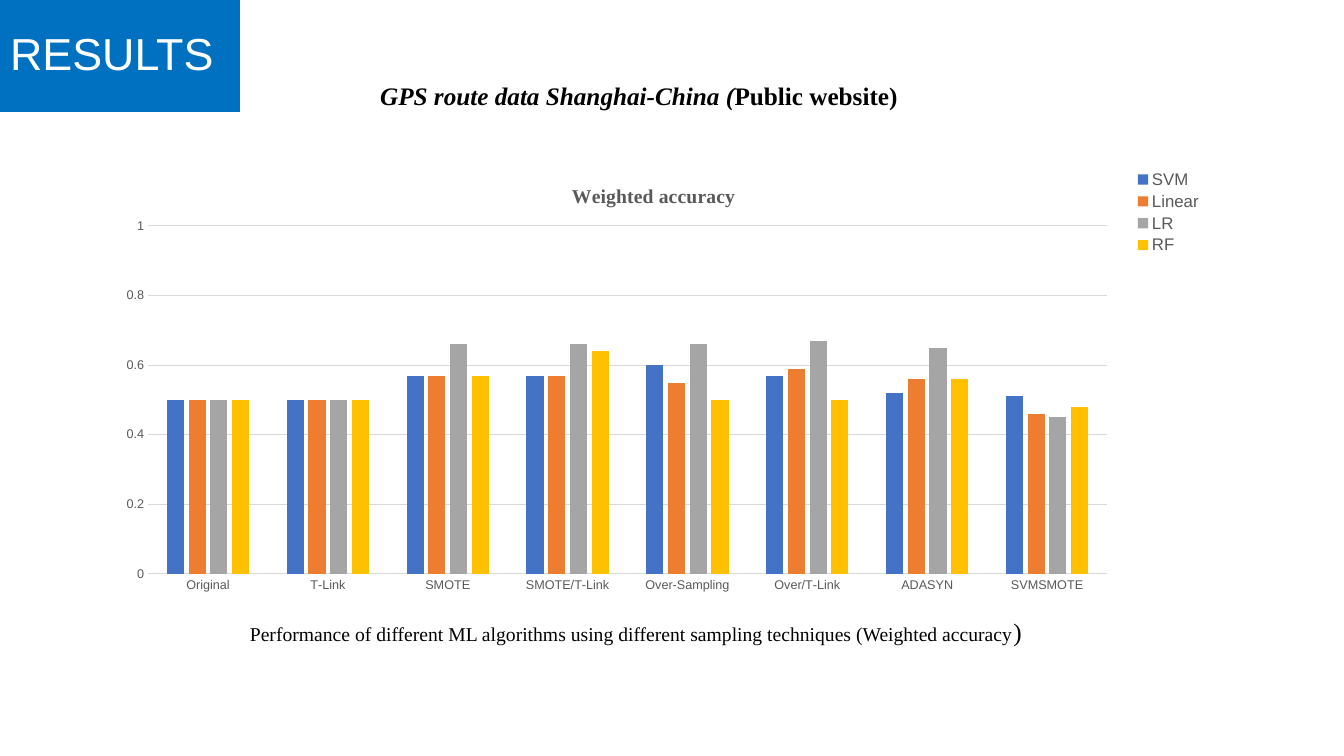
from lxml import etree
from pptx import Presentation
from pptx.chart.data import CategoryChartData
from pptx.dml.color import RGBColor
from pptx.enum.chart import XL_CHART_TYPE, XL_LEGEND_POSITION, XL_TICK_MARK
from pptx.enum.text import MSO_ANCHOR, MSO_AUTO_SIZE, PP_ALIGN
from pptx.oxml.ns import qn
from pptx.util import Inches, Pt

COLUMNS = XL_CHART_TYPE.COLUMN_CLUSTERED
CORNER = XL_LEGEND_POSITION.CORNER
NO_TICKS = XL_TICK_MARK.NONE
MIDDLE, TOP = MSO_ANCHOR.MIDDLE, MSO_ANCHOR.TOP
NO_FIT = MSO_AUTO_SIZE.NONE
LEFT, JUSTIFY = PP_ALIGN.LEFT, PP_ALIGN.JUSTIFY

SANS, SERIF = "Arial", "Times New Roman"
BLUE, WHITE, BLACK = "0070C0", "FFFFFF", "000000"
GREY, GRID = "595959", "D9D9D9"

TECHNIQUES = ["Original", "T-Link", "SMOTE", "SMOTE/T-Link",
              "Over-Sampling", "Over/T-Link", "ADASYN", "SVMSMOTE"]
# Algorithm: (colour, weighted accuracy per technique)
ACCURACY = {
    "SVM": ("4472C4", [0.5, 0.5, 0.57, 0.57, 0.6, 0.57, 0.52, 0.51]),
    "Linear": ("ED7D31", [0.5, 0.5, 0.57, 0.57, 0.55, 0.59, 0.56, 0.46]),
    "LR": ("A5A5A5", [0.5, 0.5, 0.66, 0.66, 0.66, 0.67, 0.65, 0.45]),
    "RF": ("FFC000", [0.5, 0.5, 0.57, 0.64, 0.5, 0.5, 0.56, 0.48]),
}


def rgb(color):
    return RGBColor.from_string(color)


def set_font(font, size, name, color, **styles):
    values = {"size": Pt(size), "name": name, **styles}
    for key, value in values.items():
        setattr(font, key, value)
    font.color.rgb = rgb(color)


def set_line(line, color, width):
    line.color.rgb = rgb(color)
    line.width = Pt(width)


def write(box, spans, anchor=TOP, **paragraph_format):
    """Fill a box with one paragraph of (text, font values) spans."""
    frame = box.text_frame
    frame_format = {"word_wrap": True, "auto_size": NO_FIT, "vertical_anchor": anchor,
                    "margin_left": Inches(0.1), "margin_right": Inches(0.1),
                    "margin_top": Inches(0.05), "margin_bottom": Inches(0.05)}
    for key, value in frame_format.items():
        setattr(frame, key, value)
    para = frame.paragraphs[0]
    for key, value in paragraph_format.items():
        setattr(para, key, value)
    for text, values in spans:
        span = para.add_run()
        span.text = text
        set_font(span.font, **values)


def add_title(page, text):
    title = page.shapes.title
    place = {"left": 0, "top": 0, "width": Inches(2.38), "height": Inches(1.11)}
    for key, value in place.items():
        setattr(title, key, value)
    title.fill.solid()
    title.fill.fore_color.rgb = rgb(BLUE)
    write(title, [(text, {"size": 32, "name": SANS, "color": WHITE})],
          MIDDLE, alignment=LEFT, line_spacing=0.9)


def add_text(page, left, top, width, height, spans, **paragraph_format):
    box = page.shapes.add_textbox(Inches(left), Inches(top), Inches(width), Inches(height))
    write(box, spans, **paragraph_format)
    return box


def place_part(part, index, **fractions):
    """Give a chart part a manual layout in fractions of the chart."""
    for old in part.findall(qn("c:layout")):
        part.remove(old)
    layout = etree.Element(qn("c:layout"))
    manual = etree.SubElement(layout, qn("c:manualLayout"))
    if "w" in fractions:
        etree.SubElement(manual, qn("c:layoutTarget")).set("val", "inner")
    for key in ("x", "y"):
        etree.SubElement(manual, qn(f"c:{key}Mode")).set("val", "edge")
    for key, value in fractions.items():
        etree.SubElement(manual, qn(f"c:{key}")).set("val", str(value))
    part.insert(index, layout)


def format_axes(chart):
    for axis in (chart.category_axis, chart.value_axis):
        axis.major_tick_mark = axis.minor_tick_mark = NO_TICKS
        set_font(axis.tick_labels.font, 9, SANS, GREY)
    set_line(chart.category_axis.format.line, GRID, 0.75)
    scale = chart.value_axis
    for key, value in {"minimum_scale": 0, "maximum_scale": 1, "major_unit": 0.2}.items():
        setattr(scale, key, value)
    scale.format.line.fill.background()
    set_line(scale.major_gridlines.format.line, GRID, 0.75)


def add_accuracy_chart(page):
    data = CategoryChartData()
    data.categories = TECHNIQUES
    for name, (_, values) in ACCURACY.items():
        data.add_series(name, values)
    chart = page.shapes.add_chart(COLUMNS, Inches(1.03), Inches(1.61),
                                  Inches(10.97), Inches(4.36), data).chart
    set_font(chart.font, 10, SANS, BLACK)

    # Columns
    plot = chart.plots[0]
    for key, value in {"gap_width": 219, "overlap": -27, "vary_by_categories": False}.items():
        setattr(plot, key, value)
    for series in plot.series:
        series.format.fill.solid()
        series.format.fill.fore_color.rgb = rgb(ACCURACY[series.name][0])
    format_axes(chart)

    # Heading and legend
    chart.has_title = True
    heading = chart.chart_title.text_frame.paragraphs[0].add_run()
    heading.text = "Weighted accuracy"
    set_font(heading.font, 14, SERIF, GREY, bold=True)
    chart.has_legend = True
    chart.legend.position = CORNER
    chart.legend.include_in_layout = False
    set_font(chart.legend.font, 12, SANS, GREY)

    # Places inside the chart
    place_part(plot._element.getparent(), 0, x=0.04, y=0.145, w=0.867, h=0.792)
    place_part(chart.chart_title._element, 1, x=0.42, y=0.04)
    place_part(chart.legend._element, 1, x=0.93, y=0.01)


def main():
    deck = Presentation()
    deck.slide_width, deck.slide_height = Inches(13.33), Inches(7.5)
    page = deck.slides.add_slide(deck.slide_layouts[5])
    add_title(page, "RESULTS")

    # Data set
    strong = {"size": 18, "name": SERIF, "color": BLACK, "bold": True}
    source = add_text(page, 3.17, 0.75, 6.02, 1.22, [
        ("GPS route data Shanghai-China (", {**strong, "italic": True}),
        ("Public website)", strong)], space_after=Pt(3))
    source.text_frame.margin_left = Inches(0.6)

    add_accuracy_chart(page)

    # Caption
    plain = {"size": 14, "name": SERIF, "color": BLACK}
    add_text(page, 2.38, 6.07, 8.55, 0.4, [
        ("Performance of different ML algorithms using different sampling techniques "
         "(Weighted accuracy", plain),
        (")", {**plain, "size": 18})], alignment=JUSTIFY)

    deck.save("out.pptx")


if __name__ == "__main__":
    main()
